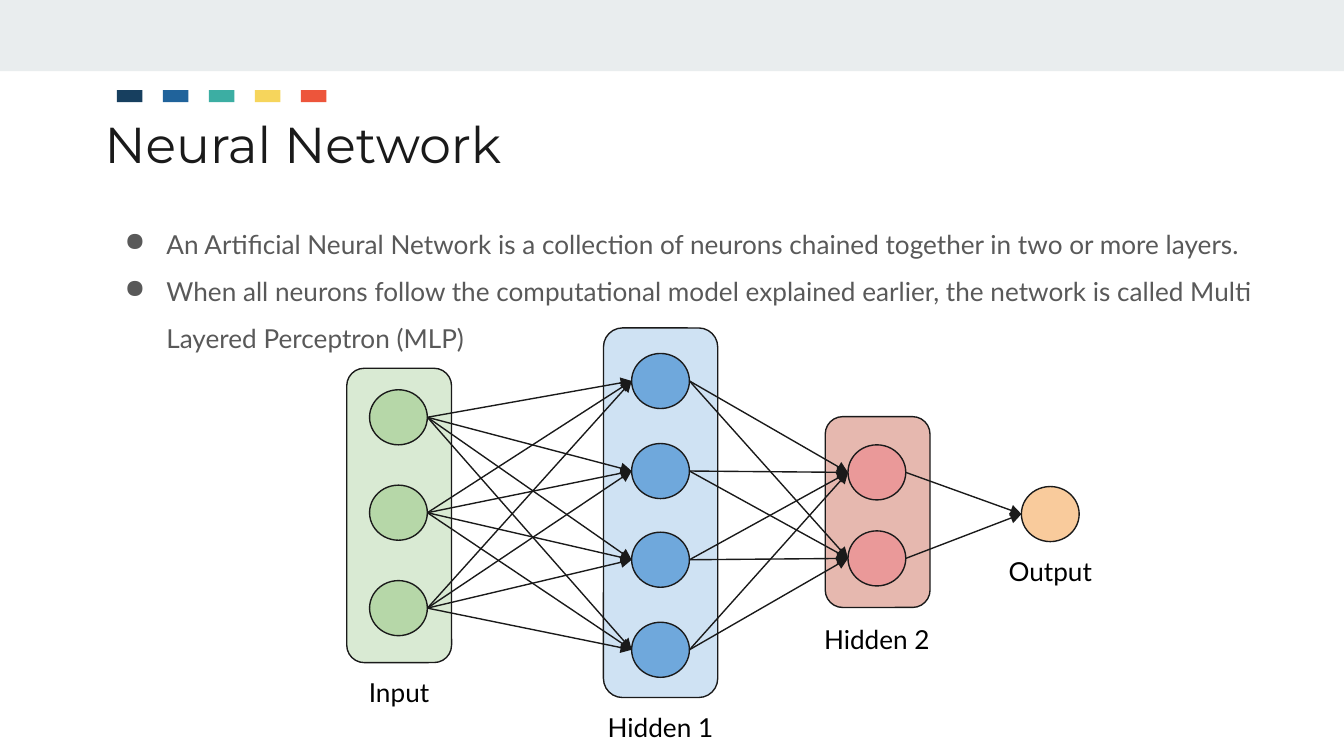
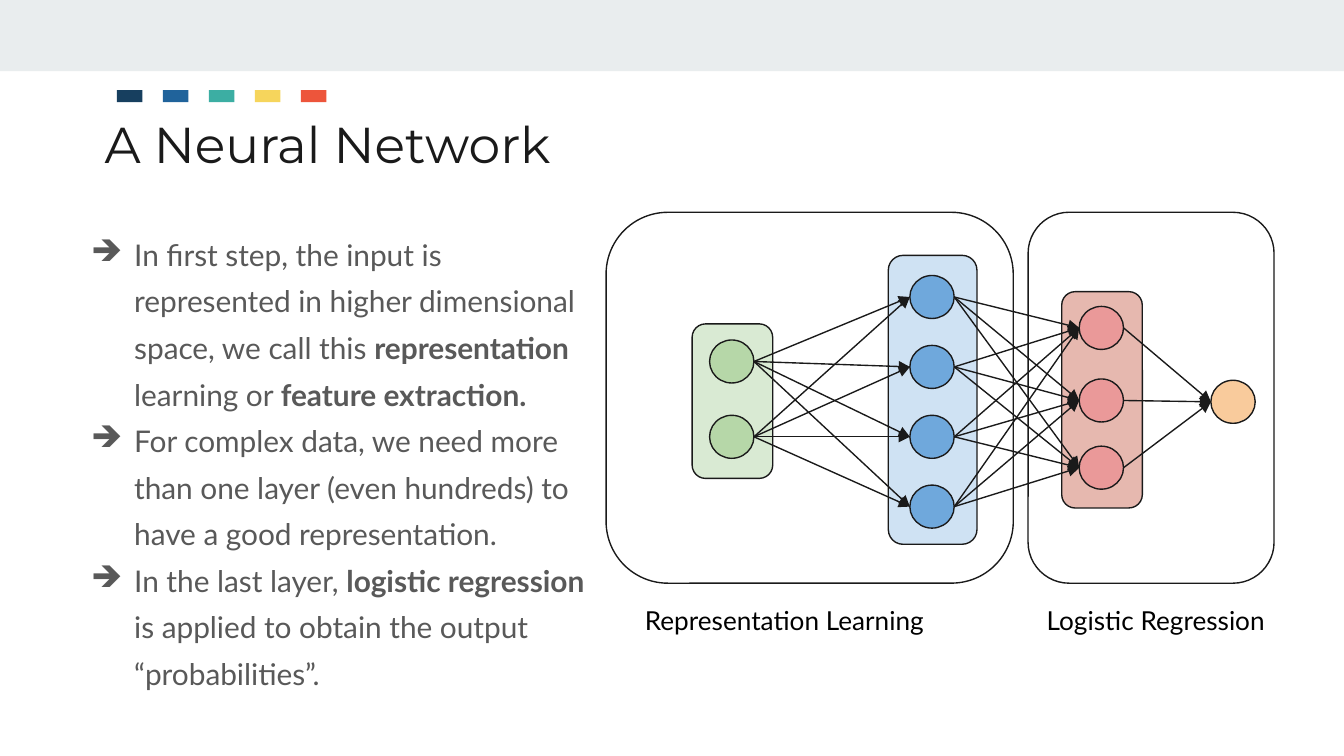
from lxml import etree
from pptx import Presentation
from pptx.dml.color import RGBColor
from pptx.enum.shapes import MSO_CONNECTOR, MSO_SHAPE
from pptx.enum.text import MSO_ANCHOR, PP_ALIGN
from pptx.oxml.ns import qn
from pptx.util import Inches, Pt

RECT = MSO_SHAPE.RECTANGLE
ROUND = MSO_SHAPE.ROUNDED_RECTANGLE
OVAL = MSO_SHAPE.OVAL
LINE = MSO_CONNECTOR.STRAIGHT
TOP = MSO_ANCHOR.TOP
LEFT, MID = PP_ALIGN.LEFT, PP_ALIGN.CENTER

INK = RGBColor(0x1A, 0x1A, 0x1A)
GREY = RGBColor(0x59, 0x59, 0x59)
BLACK = RGBColor(0x00, 0x00, 0x00)
BAND = RGBColor(0xE9, 0xED, 0xEE)
MARKS = [
    RGBColor(0x17, 0x3F, 0x5F),
    RGBColor(0x20, 0x63, 0x9B),
    RGBColor(0x3C, 0xAE, 0xA3),
    RGBColor(0xF6, 0xD5, 0x5C),
    RGBColor(0xED, 0x55, 0x3B),
]
GREEN = RGBColor(0xB6, 0xD7, 0xA8)
BLUE = RGBColor(0x6F, 0xA8, 0xDC)
RED = RGBColor(0xEA, 0x99, 0x99)
PEACH = RGBColor(0xF9, 0xCB, 0x9C)
PALE = {
    GREEN: RGBColor(0xD9, 0xEA, 0xD3),
    BLUE: RGBColor(0xCF, 0xE2, 0xF3),
    RED: RGBColor(0xE6, 0xB8, 0xAF),
}

CELL = Inches(0.1)
COLS, ROWS = 100, 56.25

HEAD = {"font": {"name": "Montserrat", "size": Pt(27)}, "tint": INK}
TAG = {"font": {"name": "Lato", "size": Pt(14)}, "tint": BLACK}
BODY = {"font": {"name": "Lato", "size": Pt(14)}, "tint": GREY}
BIG = {"font": {"name": "Lato", "size": Pt(16)}, "tint": GREY}

PAGES = [
    {
        "title": "Neural Network",
        "span": 96.2,
        "body": {
            "box": (6.8, 14.8, 91.3, 11.3),
            "look": BODY,
            "list": ("●", 0.46, -0.31, 1.5),
            "lines": [
                "An Artificial Neural Network is a collection of neurons chained "
                "together in two or more layers.",
                "When all neurons follow the computational model explained earlier, "
                "the network is called Multi Layered Perceptron (MLP)",
            ],
        },
        "node": (4.3, 4.1),
        "layers": [
            (GREEN, 27.5, [29, 36.1, 43.2], (25.8, 27.4, 7.8, 21.9)),
            (BLUE, 47, [26.3, 33, 39.6, 46.3], (44.9, 24.4, 8.5, 27.5)),
            (RED, 63.1, [33.1, 39.5], (61.4, 31, 7.8, 14.2)),
            (PEACH, 76, [36.2], None),
        ],
        "frames": [],
        "tags": [
            ("Input", (25.8, 49.3, 7.8, 4.4), MID),
            ("Hidden 1", (43.3, 51.9, 11.7, 4.4), MID),
            ("Hidden 2", (59.4, 45.4, 11.7, 4.4), MID),
            ("Output", (72.3, 40.3, 11.7, 4.4), MID),
        ],
    },
    {
        "title": "A Neural Network",
        "span": 84.1,
        "body": {
            "box": (4, 15.8, 41.1, 38.1),
            "look": BIG,
            "list": ("➔", 0.5, -0.32, 1.3),
            "lines": [
                "In first step, the input is represented in higher dimensional space, "
                "we call this *representation* learning or *feature extraction.*",
                "For complex data, we need more than one layer (even hundreds) "
                "to have a good representation.",
                "In the last layer, *logistic regression *is applied to obtain "
                "the output “probabilities”.",
            ],
        },
        "node": (3.3, 3.2),
        "layers": [
            (GREEN, 52.8, [25.3, 30.9], (51.5, 24.1, 6, 11.5)),
            (BLUE, 67.7, [20.5, 25.7, 30.9, 36.1], (66.1, 19, 6.6, 21.5)),
            (RED, 80.3, [22.8, 28.2, 33.2], (79, 21.7, 6, 16.1)),
            (PEACH, 90.1, [28.3], None),
        ],
        "frames": [(45.1, 15.8, 30.3, 27.6), (76.5, 15.8, 18.3, 27.6)],
        "tags": [
            ("Representation Learning", (47, 44, 23.4, 4.4), LEFT),
            ("Logistic Regression", (76.9, 44, 22.4, 4.4), LEFT),
        ],
    },
]


def draw(page, kind, box, fill=None, edge=None):
    shape = page.shapes.add_shape(kind, *[round(n * CELL) for n in box])
    shape.shadow.inherit = False
    if fill is None:
        shape.fill.background()
    else:
        shape.fill.solid()
        shape.fill.fore_color.rgb = fill
    if edge is None:
        shape.line.fill.background()
    else:
        shape.line.color.rgb = edge
        shape.line.width = Pt(0.75)


def write(page, box, lines, look, align=LEFT, marks=None):
    frame = page.shapes.add_textbox(*[round(n * CELL) for n in box]).text_frame
    form = {"word_wrap": True, "vertical_anchor": TOP}
    for side in ("left", "right", "top", "bottom"):
        form["margin_" + side] = CELL
    for key, val in form.items():
        setattr(frame, key, val)
    for row, line in enumerate(lines):
        para = frame.add_paragraph() if row else frame.paragraphs[0]
        para.alignment = align
        if marks:
            sign, left, hang, space = marks
            props = para._p.get_or_add_pPr()
            props.set("marL", str(Inches(left)))
            props.set("indent", str(Inches(hang)))
            tone = etree.SubElement(props, qn("a:buClr"))
            etree.SubElement(tone, qn("a:srgbClr")).set("val", str(look["tint"]))
            etree.SubElement(props, qn("a:buChar")).set("char", sign)
            para.line_spacing = space
        for turn, part in enumerate(line.split("*")):
            if part:
                run = para.add_run()
                run.text = part
                for key, val in look["font"].items():
                    setattr(run.font, key, val)
                run.font.bold = turn % 2 == 1
                run.font.color.rgb = look["tint"]


deck = Presentation()
deck.slide_width = round(COLS * CELL)
deck.slide_height = round(ROWS * CELL)

for data in PAGES:
    page = deck.slides.add_slide(deck.slide_layouts[6])
    draw(page, RECT, (0, 0, COLS, 5.3), BAND)
    for step, tint in enumerate(MARKS):
        draw(page, RECT, (8.7 + 3.42 * step, 6.7, 1.9, 0.9), tint)
    write(page, (6.8, 7.4, data["span"], 5.9), [data["title"]], HEAD)
    body = data["body"]
    write(page, body["box"], body["lines"], body["look"], marks=body["list"])

    wide, high = data["node"]
    layers = data["layers"]
    for tint, left, tops, panel in layers:
        if panel:
            draw(page, ROUND, panel, PALE[tint], INK)
        for top in tops:
            draw(page, OVAL, (left, top, wide, high), tint, INK)
    for frame in data["frames"]:
        draw(page, ROUND, frame, edge=INK)

    for near, far in zip(layers, layers[1:]):
        for start in near[2]:
            for end in far[2]:
                ends = (near[1] + wide, start + high / 2, far[1], end + high / 2)
                wire = page.shapes.add_connector(LINE, *[round(n * CELL) for n in ends])
                wire.line.color.rgb = INK
                wire.line.width = Pt(0.75)
                props = wire._element.spPr
                tip = etree.SubElement(props.find(qn("a:ln")), qn("a:tailEnd"))
                tip.set("type", "triangle")
                etree.SubElement(props, qn("a:effectLst"))

    for text, box, align in data["tags"]:
        write(page, box, [text], TAG, align)

deck.save("out.pptx")
